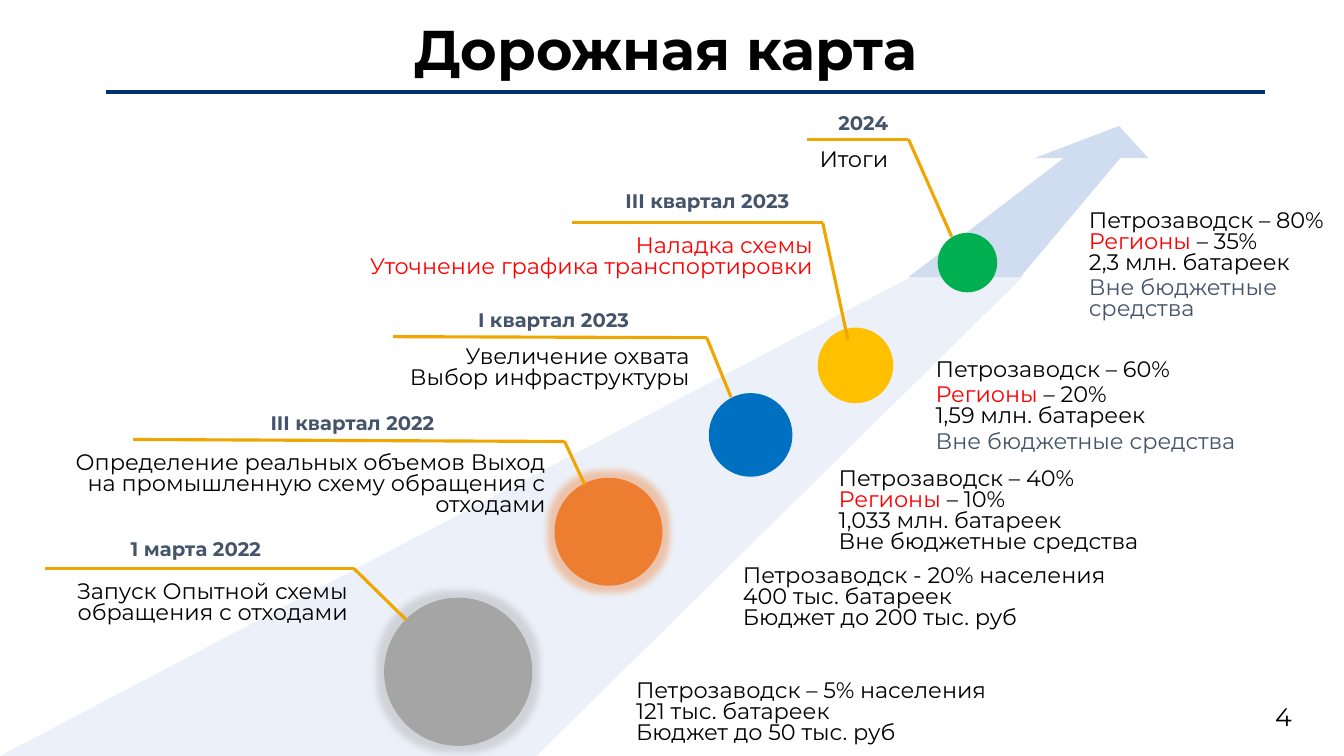
from itertools import pairwise
from lxml import etree
from pptx import Presentation
from pptx import util as u
from pptx.dml.color import RGBColor
from pptx.enum import shapes, text
from pptx.oxml.ns import qn

PX = 9144
BLACK, RED, SLATE, AMBER = "000000", "FF0000", "44546A", "F0A600"
LEFT, RIGHT, CENTER = text.PP_ALIGN.LEFT, text.PP_ALIGN.RIGHT, text.PP_ALIGN.CENTER
TOP, MIDDLE = text.MSO_ANCHOR.TOP, text.MSO_ANCHOR.MIDDLE
TIGHT, WIDE = (5, 3), (10, 5)


def colour(value):
    return RGBColor.from_string(value)


def write(box, paragraphs, font, para_format, frame_format, insets):
    frame = box.text_frame
    across, down = (n * PX for n in insets)
    margins = dict(margin_left=across, margin_right=across, margin_top=down, margin_bottom=down)
    for name, value in (margins | frame_format).items():
        setattr(frame, name, value)
    for index, spans in enumerate(paragraphs):
        para = frame.paragraphs[0] if index == 0 else frame.add_paragraph()
        for name, value in para_format.items():
            setattr(para, name, value)
        if index and insets == TIGHT:
            para.space_before = u.Pt(3.2)
        for words, shade in spans:
            for row, line in enumerate(words.split("\n")):
                if row:
                    para.add_line_break()
                if line:
                    span = para.add_run()
                    span.text = line
                    for name, value in (dict(name="Montserrat") | font).items():
                        setattr(span.font, name, value)
                    span.font.color.rgb = colour(shade)


deck = Presentation()
deck.slide_width, deck.slide_height = 1333 * PX, 750 * PX
page = deck.slides.add_slide(deck.slide_layouts[5])

title = page.shapes.title
title.left, title.top, title.width, title.height = (n * PX for n in (268, 27, 785, 50))
write(title, [[("Дорожная карта", BLACK)]], dict(size=u.Pt(40), bold=True),
      dict(alignment=CENTER, line_spacing=0.9),
      dict(vertical_anchor=MIDDLE, word_wrap=True, auto_size=text.MSO_AUTO_SIZE.NONE), WIDE)

road = [(903, 275), (1014, 275), (532, 750), (0, 750)]
arrow = [(1110, 125), (1026, 157), (1055, 157), (901, 275), (1012, 275), (1111, 157), (1139, 157)]
for points, shade in ((road, "ECF1F9"), (arrow, "D0DCF0")):
    builder = page.shapes.build_freeform(*points[0], scale=PX)
    builder.add_line_segments(points[1:], close=True)
    outline = builder.convert_to_shape()
    outline.shadow.inherit = False
    outline.fill.solid()
    outline.fill.fore_color.rgb = colour(shade)
    outline.line.fill.background()

circles = [
    (381, 593, 147, "A5A5A5", True),
    (550, 474, 107, "ED7D31", True),
    (703, 390, 83, "0070C0", False),
    (811, 325, 75, "FFC000", False),
    (930, 231, 59, "00B050", False),
]
for left, top, size, shade, glows in circles:
    circle = page.shapes.add_shape(shapes.MSO_SHAPE.OVAL, left * PX, top * PX, size * PX, size * PX)
    circle.shadow.inherit = False
    circle.fill.solid()
    circle.fill.fore_color.rgb = colour(shade)
    circle.line.fill.background()
    if glows:
        effects = circle._element.spPr.find(qn("a:effectLst"))
        glow = etree.SubElement(effects, qn("a:glow"), rad=str(14 * PX))
        tint = etree.SubElement(glow, qn("a:srgbClr"), val=shade)
        etree.SubElement(tint, qn("a:alpha"), val="40000")

rules = [
    ([(105, 91), (1255, 91)], "003274", 3),
    ([(45, 564), (351, 564), (403, 615)], AMBER, 2.25),
    ([(132, 436), (560, 438), (580, 481)], AMBER, 2.25),
    ([(390, 334), (701, 335), (725, 394)], AMBER, 2.25),
    ([(567, 221), (816, 221), (841, 337)], AMBER, 2.25),
    ([(800, 138), (901, 138), (944, 235)], AMBER, 2.25),
]
for points, shade, weight in rules:
    for start, end in pairwise(points):
        rule = page.shapes.add_connector(shapes.MSO_CONNECTOR.STRAIGHT, *(n * PX for n in start + end))
        rule.line.color.rgb = colour(shade)
        rule.line.width = u.Pt(weight)
        etree.SubElement(rule._element.spPr, qn("a:effectLst"))

dates = [
    ((123, 530, 141, 29), "1 марта 2022"),
    ((261, 405, 175, 29), "III квартал 2022"),
    ((467, 303, 162, 29), "I квартал 2023"),
    ((613, 185, 175, 29), "III квартал 2023"),
    ((826, 107, 60, 29), "2024"),
]
for bounds, words in dates:
    box = page.shapes.add_textbox(*(n * PX for n in bounds))
    write(box, [[(words, SLATE)]], dict(size=u.Pt(14), bold=True), dict(alignment=RIGHT),
          dict(vertical_anchor=MIDDLE, word_wrap=False), TIGHT)

notes = [
    ((18, 575, 332, 49), RIGHT, TIGHT, [[("Запуск Опытной схемы обращения с отходами", BLACK)]]),
    ((62, 447, 484, 70), RIGHT, TIGHT,
     [[("Определение реальных объемов Выход на промышленную схему обращения с отходами", BLACK)]]),
    ((303, 342, 386, 49), RIGHT, TIGHT, [[("Увеличение охвата\nВыбор инфраструктуры", BLACK)]]),
    ((352, 230, 464, 52), RIGHT, WIDE, [[("Наладка схемы\nУточнение графика транспортировки", RED)]]),
    ((620, 147, 266, 26), RIGHT, TIGHT, [[("Итоги", BLACK)]]),
    ((621, 672, 415, 75), LEFT, WIDE,
     [[("Петрозаводск – 5% населения\n121 тыс. батареек", BLACK)], [("Бюджет до 50 тыс. руб", BLACK)]]),
    ((727, 558, 492, 75), LEFT, WIDE,
     [[("Петрозаводск - 20% населения\n400 тыс. батареек", BLACK)], [("Бюджет до 200 тыс. руб", BLACK)]]),
    ((822, 461, 449, 95), LEFT, WIDE,
     [[("Петрозаводск – 40%", BLACK)],
      [("Регионы", RED), (" – 10%\n1,033 млн. батареек\nВне бюджетные средства", BLACK)]]),
    ((923, 355, 410, 104), LEFT, TIGHT,
     [[("Петрозаводск – 60%", BLACK)],
      [("Регионы", RED), (" – 20%\n1,59 млн. батареек", BLACK)],
      [("Вне бюджетные средства", SLATE)]]),
    ((1075, 207, 307, 119), LEFT, TIGHT,
     [[("Петрозаводск – 80%\n", BLACK), ("Регионы", RED), (" – 35%\n2,3 млн. батареек", BLACK)],
      [("Вне бюджетные средства", SLATE)]]),
]
for bounds, side, insets, paragraphs in notes:
    box = page.shapes.add_textbox(*(n * PX for n in bounds))
    write(box, paragraphs, dict(size=u.Pt(16)), dict(alignment=side, line_spacing=u.Pt(15)),
          dict(vertical_anchor=TOP, word_wrap=True), insets)

number = page.shapes.add_textbox(*(n * PX for n in (1255, 691, 80, 40)))
write(number, [[("4", BLACK)]], dict(size=u.Pt(18)), dict(alignment=LEFT), dict(word_wrap=True), WIDE)

deck.save("out.pptx")
